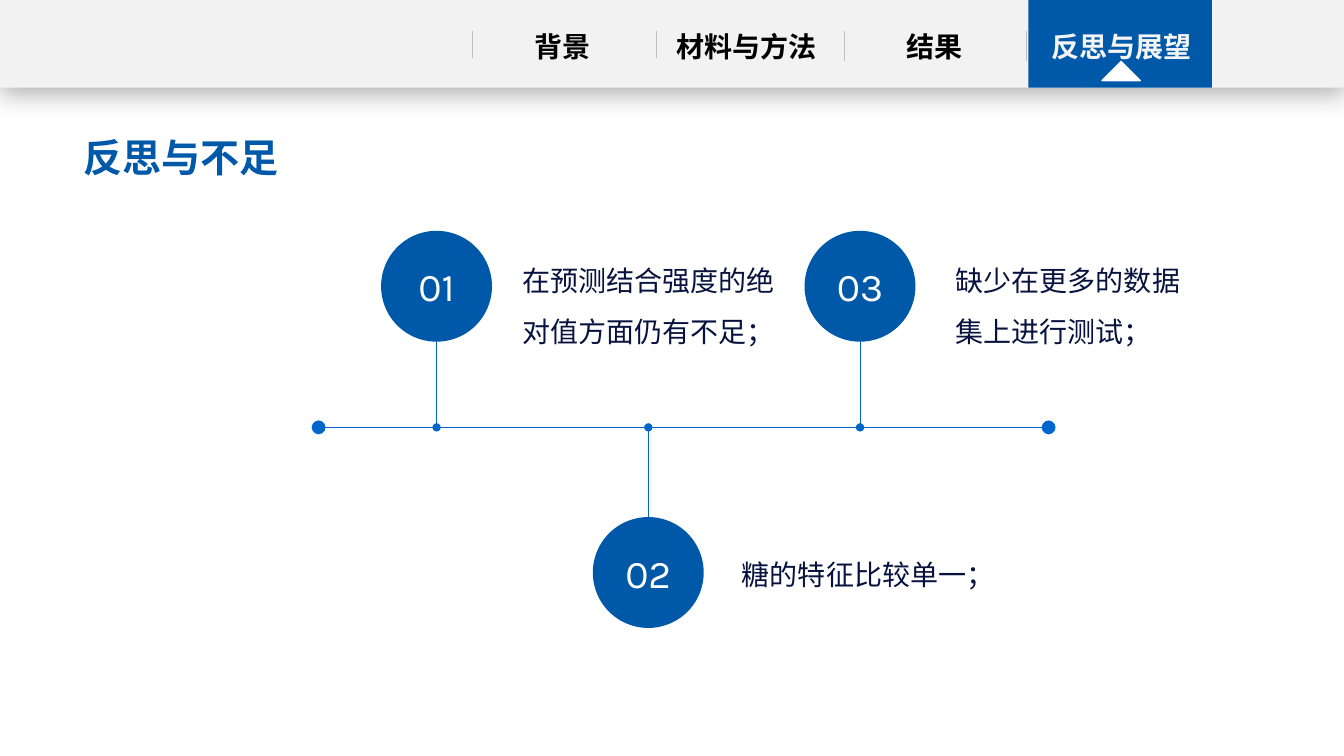
from lxml.etree import SubElement
from pptx import Presentation
from pptx.dml.color import RGBColor
from pptx.enum.shapes import MSO_CONNECTOR as Connector, MSO_SHAPE as Shape
from pptx.enum.text import MSO_ANCHOR as Anchor, MSO_AUTO_SIZE as AutoSize, PP_ALIGN as Align
from pptx.oxml.ns import qn
from pptx.util import Inches, Pt

BLUE, LINE_BLUE, NAVY = "0058A8", "0066CB", "07133E"
HAN = "Noto Sans CJK SC"


def write(shape, text, size, color, font=HAN, bold=False, align=Align.LEFT,
          anchor=Anchor.TOP, side=0.1, spacing=None):
    frame = shape.text_frame
    frame.word_wrap = True
    frame.auto_size = AutoSize.NONE
    frame.vertical_anchor = anchor
    frame.margin_left = frame.margin_right = Inches(side)
    para = frame.paragraphs[0]
    para.alignment = align
    para.line_spacing = spacing
    span = para.add_run()
    span.text = text
    span.font.size, span.font.bold, span.font.name = Pt(size), bold, font
    span.font.color.rgb = RGBColor.from_string(color)
    SubElement(span.font._element, qn("a:ea"), typeface=HAN)


def draw(kind, place, color, width=None, ends=()):
    """Add a filled shape, or a line when a width is given."""
    lengths = [Inches(value) for value in place]
    if width is None:
        item = page.shapes.add_shape(kind, *lengths)
        item.shadow.inherit = False
        item.fill.solid()
        item.fill.fore_color.rgb = RGBColor.from_string(color)
        item.line.fill.background()
        return item
    item = page.shapes.add_connector(kind, *lengths)
    item.line.width = Pt(width)
    item.line.color.rgb = RGBColor.from_string(color)
    for end, size in ends:
        SubElement(item.line._get_or_add_ln(), qn("a:" + end), type="oval", w=size, len=size)
    SubElement(item._element.spPr, qn("a:effectLst"))
    return item


deck = Presentation()
deck.slide_width, deck.slide_height = Inches(13.33), Inches(7.5)
page = deck.slides.add_slide(deck.slide_layouts[5])

# Navigation bar with a soft shadow below
bar = draw(Shape.RECTANGLE, (0, 0, 13.33, 0.87), "F2F2F2")
effects = bar._element.spPr.find(qn("a:effectLst"))
shadow = SubElement(effects, qn("a:outerShdw"), blurRad=str(Pt(18)), dist=str(Pt(4)),
                    dir="5400000", algn="t", rotWithShape="0")
shade = SubElement(shadow, qn("a:srgbClr"), val="000000")
SubElement(shade, qn("a:alpha"), val="29000")

# Active tab and its pointer
draw(Shape.RECTANGLE, (10.2, 0, 1.82, 0.87), BLUE)
pointer = draw(Shape.ISOSCELES_TRIANGLE, (10.93, 0.61, 0.38, 0.19), "FFFFFF")
pointer.line.color.rgb = RGBColor.from_string("FFFFFF")
pointer.line.width = Pt(1)

# Tab labels, each with a divider on its left
tabs = [("背景", 4.84, 4.69, 0.58, "000000"),
        ("材料与方法", 6.67, 6.51, 0.58, "000000"),
        ("结果", 8.53, 8.37, 0.61, "000000"),
        ("反思与展望", 10.39, 10.18, 0.61, "F4F4F4")]
for label, left, divider, bottom, color in tabs:
    box = page.shapes.add_textbox(Inches(left), Inches(0.24), Inches(1.47), Inches(0.44))
    write(box, label, 20, color, bold=True, align=Align.CENTER, side=0)
    draw(Connector.STRAIGHT, (divider, 0.31, divider, bottom), "BFBFBF", 0.5)

# Title
title = page.shapes.title
title.left, title.top = Inches(0.73), Inches(1.27)
title.width, title.height = Inches(6.91), Inches(0.57)
write(title, "反思与不足", 27.9, BLUE, font="Times New Roman", bold=True)

# Timeline axis
AXIS = 4.24
draw(Connector.STRAIGHT, (3.16, AXIS, 10.4, AXIS), LINE_BLUE, 0.5,
     [("headEnd", "lg"), ("tailEnd", "lg")])

# Points: circle top, edge of the circle that meets the stem, text box
SIZE = 1.1
points = [("在预测结合强度的绝对值方面仍有不足；", 2.29, 3.36, (5.08, 2.4, 2.83, 1.03)),
          ("糖的特征比较单一；", 5.13, 5.13, (7.26, 5.32, 2.51, 0.53)),
          ("缺少在更多的数据集上进行测试；", 2.29, 3.36, (9.38, 2.4, 2.51, 1.03))]
for index, (text, top, stem_end, place) in enumerate(points):
    center = 4.33 + 2.1 * index
    draw(Connector.STRAIGHT, (center, AXIS, center, stem_end), LINE_BLUE, 0.5,
         [("headEnd", "med")])
    circle = draw(Shape.OVAL, (center - SIZE / 2, top, SIZE, SIZE), BLUE)
    write(circle, f"{index + 1:02}", 28, "FFFFFF", font="Karla",
          align=Align.CENTER, anchor=Anchor.MIDDLE)
    box = page.shapes.add_textbox(*[Inches(value) for value in place])
    write(box, text, 20, NAVY, spacing=1.5)

deck.save("out.pptx")
